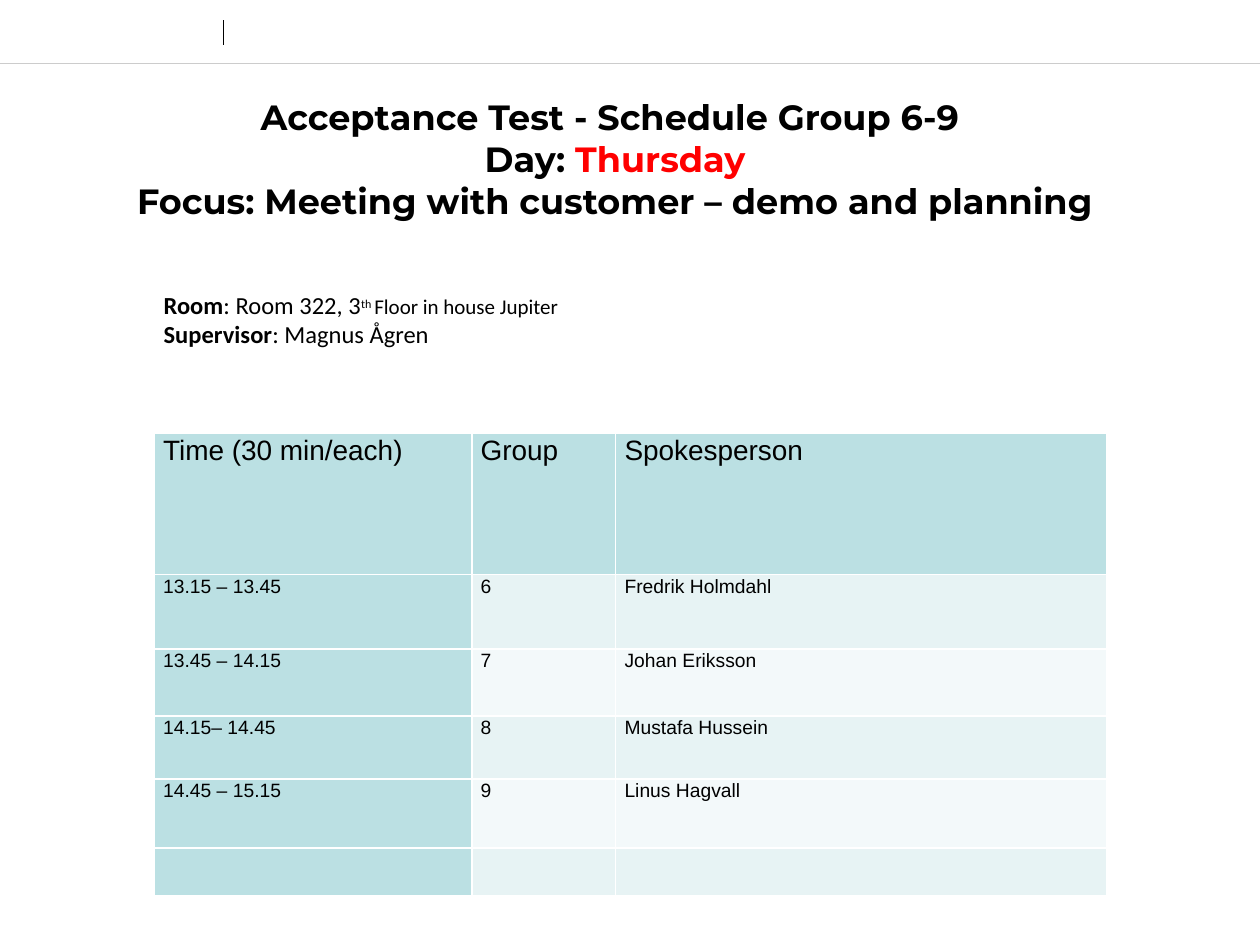
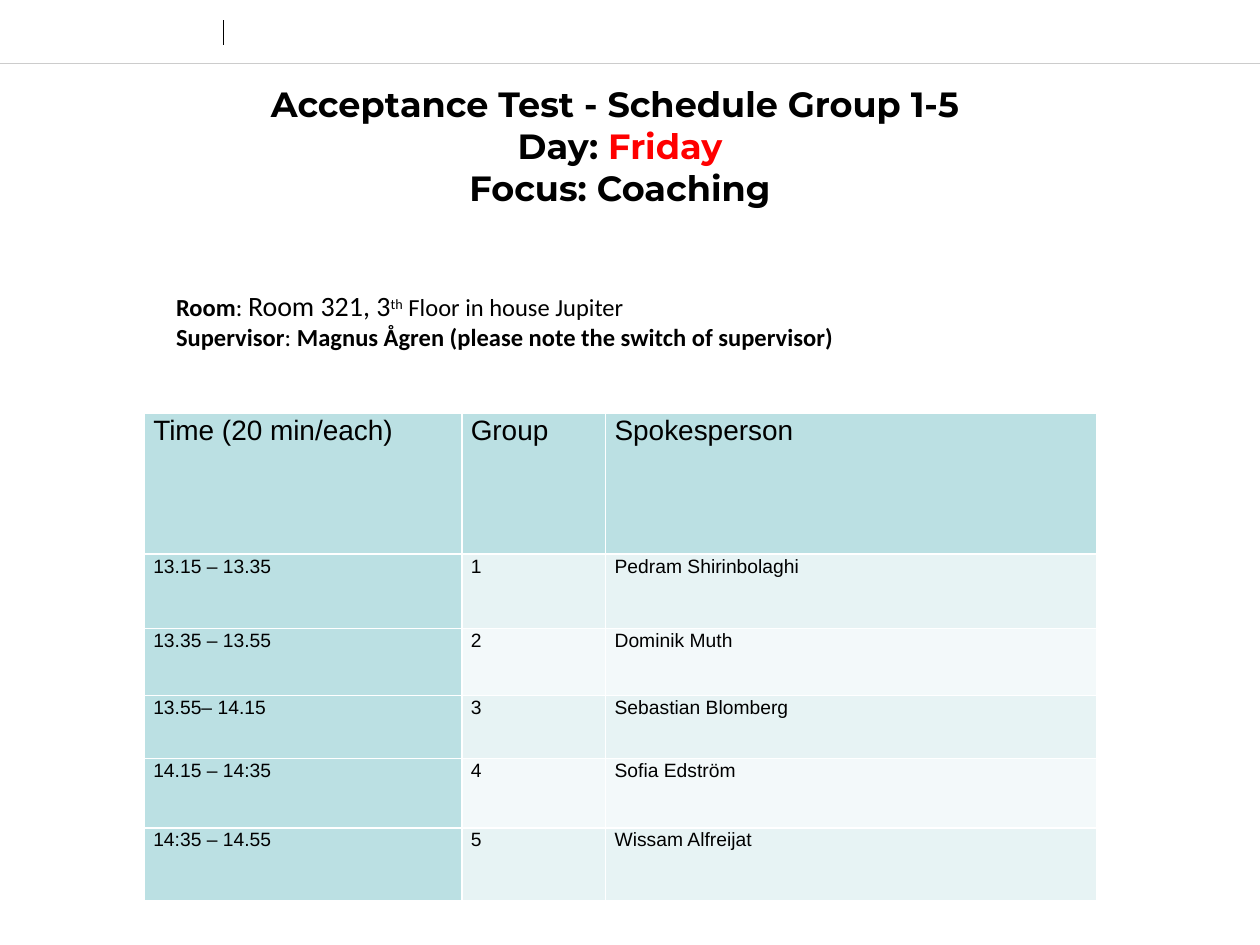
import pptx
import pptx.dml.color
import pptx.enum.shapes
import pptx.enum.text
import pptx.oxml.ns
import pptx.util
from lxml import etree

Cm = pptx.util.Cm
Pt = pptx.util.Pt

# Content: styles named here are defined in THEME["text"]
SCHEDULES = [
    {
        "title": [("Acceptance Test - Schedule Group 6-9 ", "title")],
        "day": "Thursday",
        "focus": "Focus: Meeting with customer – demo and planning",
        "details": [
            [("Room", "label"), (": Room 322, 3", "detail"),
             ("th ", "small_raised"), ("Floor in house Jupiter", "small_detail")],
            [("Supervisor", "label"), (": Magnus Ågren", "detail")],
        ],
        "table": [
            ("Time (30 min/each)", "Group", "Spokesperson"),
            ("13.15 – 13.45", "6", "Fredrik Holmdahl"),
            ("13.45 – 14.15", "7", "Johan Eriksson"),
            ("14.15– 14.45", "8", "Mustafa Hussein"),
            ("14.45 – 15.15", "9", "Linus Hagvall"),
            ("", "", ""),
        ],
        "title_box": (-0.3, 1.89, 25.4, 2.6),
        "details_box": (3.05, 5.72, 20.6, 2.24),
        "table_corner": (3.11, 8.74),
        "last_row": 0.95,
    },
    {
        "title": [("Acceptance Test - Schedule Group 1-5 ", "title")],
        "day": "Friday",
        "focus": "Focus: Coaching",
        "details": [
            [("Room", "label"), (": ", "detail"), ("Room 321, 3", "large_detail"),
             ("th", "raised"), (" Floor in house Jupiter", "detail")],
            [("Supervisor", "label"), (": ", "detail"),
             ("Magnus Ågren (please note the switch of supervisor)", "label")],
        ],
        "table": [
            ("Time (20 min/each)", "Group", "Spokesperson"),
            ("13.15 – 13.35", "1", "Pedram Shirinbolaghi"),
            ("13.35 – 13.55", "2", "Dominik Muth"),
            ("13.55– 14.15", "3", "Sebastian Blomberg"),
            ("14.15 – 14:35", "4", "Sofia Edström"),
            ("14:35 – 14.55", "5", "Wissam Alfreijat"),
        ],
        "title_box": (-0.2, 1.64, 25.4, 2.6),
        "details_box": (3.3, 5.69, 17.6, 2.31),
        "table_corner": (2.91, 8.33),
        "last_row": 1.47,
    },
]
COLUMN_WIDTHS = (6.4, 2.9, 9.9)
ROW_HEIGHTS = (2.84, 1.5, 1.35, 1.27, 1.4)
# Header lines: start x, start y, end x, end y, colour, width in points
HEADER_LINES = [
    (0, 1.27, 25.4, 1.27, "rule", 0.25),
    (4.5, 0.41, 4.5, 0.91, "ink", 0.5),
]

THEME = {
    "colors": {"ink": "000000", "accent": "FF0000", "rule": "CCCCCC",
               "heading_fill": "BBE0E3", "bands": ("E7F3F4", "F3F9FA"),
               "border": "FFFFFF"},
    # font, size, bold, colour
    "text": {
        "title": ("Montserrat", 20, True, "ink"),
        "day": ("Montserrat", 20, True, "accent"),
        "label": ("Calibri", 14, True, "ink"),
        "detail": ("Calibri", 14, False, "ink"),
        "large_detail": ("Calibri", 16, False, "ink"),
        "small_detail": ("Calibri", 12, False, "ink"),
        "raised": ("Calibri", 14, False, "ink"),
        "small_raised": ("Calibri", 12, False, "ink"),
        "table_heading": ("Arial", 16, False, "ink"),
        "table_body": ("Arial", 11, False, "ink"),
    },
}


def rgb(value):
    return pptx.dml.color.RGBColor.from_string(value)


def set_attributes(target, values):
    for name, value in values.items():
        setattr(target, name, value)


def add_run(paragraph, text, style):
    font_name, size, bold, color = THEME["text"][style]
    run = paragraph.add_run()
    run.text = text
    set_attributes(run.font, {"name": font_name, "size": Pt(size), "bold": bold})
    run.font.color.rgb = rgb(THEME["colors"][color])
    if style.endswith("raised"):
        run.font._element.set("baseline", "30000")


def add_text_frame(slide, box, anchor):
    shape = slide.shapes.add_textbox(*map(Cm, box))
    set_attributes(shape.text_frame, {"word_wrap": True, "vertical_anchor": anchor})
    return shape.text_frame


def add_header_lines(slide):
    for x1, y1, x2, y2, color, width in HEADER_LINES:
        line = slide.shapes.add_connector(
            pptx.enum.shapes.MSO_CONNECTOR.STRAIGHT, Cm(x1), Cm(y1), Cm(x2), Cm(y2))
        line.line.color.rgb = rgb(THEME["colors"][color])
        line.line.width = Pt(width)
        etree.SubElement(line._element.spPr, pptx.oxml.ns.qn("a:effectLst"))


def add_title(slide, schedule):
    frame = add_text_frame(slide, schedule["title_box"], pptx.enum.text.MSO_ANCHOR.MIDDLE)
    paragraph = frame.paragraphs[0]
    paragraph.alignment = pptx.enum.text.PP_ALIGN.CENTER
    lines = [
        schedule["title"],
        [("Day: ", "title"), (schedule["day"], "day")],
        [(schedule["focus"], "title")],
    ]
    for index, line in enumerate(lines):
        if index:
            paragraph.add_line_break()
        for text, style in line:
            add_run(paragraph, text, style)


def add_details(slide, schedule):
    frame = add_text_frame(slide, schedule["details_box"], pptx.enum.text.MSO_ANCHOR.TOP)
    for index, line in enumerate(schedule["details"]):
        paragraph = frame.add_paragraph() if index else frame.paragraphs[0]
        for text, style in line:
            add_run(paragraph, text, style)


def add_borders(cell):
    qn = pptx.oxml.ns.qn
    properties = cell._tc.get_or_add_tcPr()
    for side in ("lnL", "lnR", "lnT", "lnB"):
        border = etree.SubElement(properties, qn("a:" + side), w=str(Pt(1)))
        fill = etree.SubElement(border, qn("a:solidFill"))
        etree.SubElement(fill, qn("a:srgbClr"), val=THEME["colors"]["border"])


def cell_fill(row, column):
    colors = THEME["colors"]
    if row == 0 or column == 0:
        return colors["heading_fill"]
    return colors["bands"][(row - 1) % 2]


def add_schedule_table(slide, schedule):
    rows = schedule["table"]
    heights = ROW_HEIGHTS + (schedule["last_row"],)
    left, top = schedule["table_corner"]
    table = slide.shapes.add_table(
        len(rows), len(COLUMN_WIDTHS), Cm(left), Cm(top),
        Cm(sum(COLUMN_WIDTHS)), Cm(sum(heights))).table
    set_attributes(table, {"first_row": False, "horz_banding": False})
    for column, width in zip(table.columns, COLUMN_WIDTHS):
        column.width = Cm(width)
    for row, height in zip(table.rows, heights):
        row.height = Cm(height)

    for row_index, row in enumerate(rows):
        style = "table_body" if row_index else "table_heading"
        for column_index, text in enumerate(row):
            cell = table.cell(row_index, column_index)
            set_attributes(cell, {"margin_left": Cm(0.18), "margin_right": Cm(0.18),
                                  "margin_top": 0, "margin_bottom": 0})
            add_borders(cell)
            cell.fill.solid()
            cell.fill.fore_color.rgb = rgb(cell_fill(row_index, column_index))
            if text:
                paragraph = cell.text_frame.paragraphs[0]
                paragraph.line_spacing = 1.07
                add_run(paragraph, text, style)


def main():
    presentation = pptx.Presentation()
    set_attributes(presentation, {"slide_width": Cm(25.4), "slide_height": Cm(19.05)})
    for schedule in SCHEDULES:
        slide = presentation.slides.add_slide(presentation.slide_layouts[6])
        add_header_lines(slide)
        add_title(slide, schedule)
        add_schedule_table(slide, schedule)
        add_details(slide, schedule)
    presentation.save("out.pptx")


if __name__ == "__main__":
    main()
